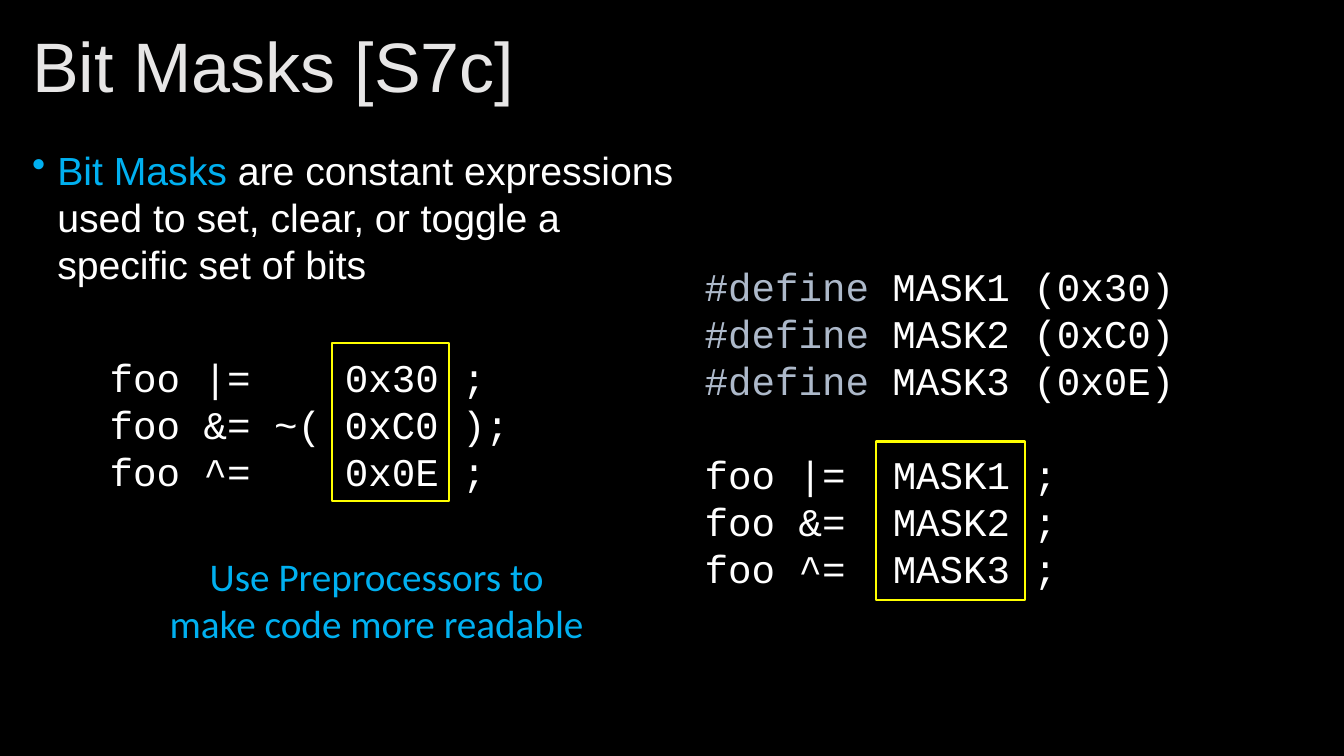
from lxml import etree
from pptx import Presentation
from pptx.dml.color import RGBColor
from pptx.enum.shapes import MSO_SHAPE
from pptx.enum.text import MSO_ANCHOR, PP_ALIGN
from pptx.oxml.ns import qn
from pptx.util import Inches, Pt

RECTANGLE = MSO_SHAPE.RECTANGLE
MIDDLE, TOP = MSO_ANCHOR.MIDDLE, MSO_ANCHOR.TOP
LEFT, CENTER = PP_ALIGN.LEFT, PP_ALIGN.CENTER

COLORS = {"back": "000000", "title": "E7E6E6", "text": "FFFFFF",
          "accent": "00B0F0", "keyword": "ADB9CA", "frame": "FFFF00"}
TEXT_SIZE = 28
LINE_HEIGHT = 33.6
CODE_CHAR = 0.6 * TEXT_SIZE / 72  # width of one monospaced character, inches

# Content: each line is a list of (text, color) spans
TITLE = [[("Bit Masks [S7c]", "title")]]
DEFINITION = [[
    ("Bit Masks ", "accent"),
    ("are constant expressions used to set, clear, or toggle a specific set of bits", "text"),
]]
ADVICE = [[("Use Preprocessors to make code more readable", "accent")]]
LITERAL_CODE = [[(line, "text")] for line in
                ("foo |=\t0x30 ;", "foo &= ~( 0xC0 );", "foo ^=\t0x0E ;")]
MASKS = [("MASK1", "0x30", "|="), ("MASK2", "0xC0", "&="), ("MASK3", "0x0E", "^=")]
DEFINES = [[("#define", "keyword"), (f" {name} ({value})", "text")]
           for name, value, _ in MASKS]
MASK_CODE = [[(f"foo {operator}\t{name} ;", "text")] for name, _, operator in MASKS]

# Frames around the mask columns: left, top, width, height
FRAMES = [(3.29, 3.4, 1.16, 1.57), (8.69, 4.38, 1.48, 1.57)]


def color(name):
    return RGBColor.from_string(COLORS[name])


def add_text(page, place, lines, font, size=TEXT_SIZE, wrap=True, anchor=TOP, align=LEFT):
    box = page.shapes.add_textbox(*map(Inches, place))
    frame = box.text_frame
    frame.word_wrap = wrap
    frame.vertical_anchor = anchor
    for number, line in enumerate(lines):
        para = frame.paragraphs[0] if number == 0 else frame.add_paragraph()
        para.alignment = align
        para.font.name = font
        para.font.size = Pt(size)
        for text, shade in line:
            span = para.add_run()
            span.text = text
            span.font.color.rgb = color(shade)
    return frame.paragraphs


def add_tab_stop(para, characters):
    stops = etree.SubElement(para._p.get_or_add_pPr(), qn("a:tabLst"))
    stop = etree.SubElement(stops, qn("a:tab"))
    stop.set("pos", str(Inches(characters * CODE_CHAR)))
    stop.set("algn", "l")
    # Tab stops come before the default run properties
    defaults = para._p.pPr.find(qn("a:defRPr"))
    if defaults is not None:
        defaults.addprevious(stops)


def add_bullet(para, indent):
    properties = para._p.get_or_add_pPr()
    properties.set("marL", str(Inches(indent)))
    properties.set("indent", str(-Inches(indent)))
    bullet = etree.Element(qn("a:buChar"))
    bullet.set("char", "•")
    properties.find(qn("a:defRPr")).addprevious(bullet)


def main():
    deck = Presentation()
    deck.slide_width, deck.slide_height = Inches(13.33), Inches(7.5)
    page = deck.slides.add_slide(deck.slide_layouts[6])
    page.background.fill.solid()
    page.background.fill.fore_color.rgb = color("back")

    # Title and definition
    title = add_text(page, (0.22, 0.21, 12.89, 0.97), TITLE, "Arial", 50, anchor=MIDDLE)
    title[0].line_spacing = 0.9
    definition = add_text(page, (0.22, 1.4, 6.83, 1.51), DEFINITION, "Arial")
    add_bullet(definition[0], 0.25)

    # Code with literal values, and the advice below it
    literal = add_text(page, (0.99, 3.46, 4.2, 1.51), LITERAL_CODE, "Courier New", wrap=False)
    add_text(page, (1.56, 5.43, 4.35, 1.04), ADVICE, "Calibri", align=CENTER)

    # Code with named masks, one line apart from its definitions
    named = add_text(page, (6.89, 2.55, 4.9, 3.4), DEFINES + MASK_CODE,
                     "Courier New", wrap=False)
    named[len(DEFINES)].space_before = Pt(LINE_HEIGHT)

    for para in (*definition, *literal, *named):
        para.line_spacing = Pt(LINE_HEIGHT)
    for para in literal:
        add_tab_stop(para, 10)
    for para in named[len(DEFINES):]:
        add_tab_stop(para, 8)

    # Frames
    for place in FRAMES:
        frame = page.shapes.add_shape(RECTANGLE, *map(Inches, place))
        frame.shadow.inherit = False
        frame.fill.background()
        frame.line.color.rgb = color("frame")
        frame.line.width = Pt(1.5)

    deck.save("out.pptx")


if __name__ == "__main__":
    main()
